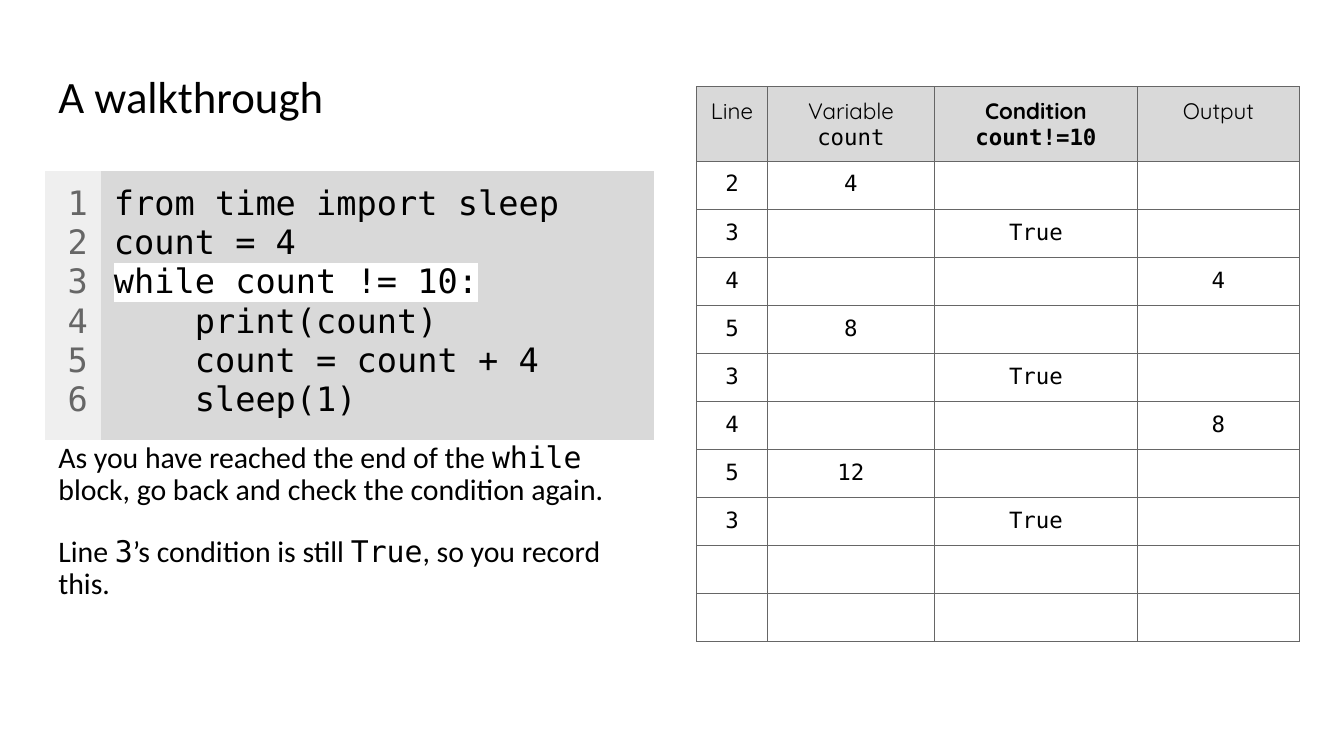
from lxml import etree
from pptx import Presentation
from pptx.dml.color import RGBColor
from pptx.enum.text import MSO_ANCHOR, PP_ALIGN
from pptx.oxml.ns import qn
from pptx.util import Inches, Pt

SANS, MONO, HEADING = "Calibri", "DejaVu Sans Mono", "Quicksand"
BLACK, WHITE, GREY, LINE_GREY, PALE_GREY = "000000", "FFFFFF", "D9D9D9", "666666", "EFEFEF"
PLAIN_TABLE_STYLE = "{2D5ABB26-0587-4C30-8999-92F81FD0307C}"

CODE = [
    "from time import sleep",
    "count = 4",
    "while count != 10:",
    "    print(count)",
    "    count = count + 4",
    "    sleep(1)",
]
CURRENT_LINE = 3

# Each heading: lines of (text, font), and whether it is bold
TRACE_HEADINGS = [
    ([("Line", HEADING)], False),
    ([("Variable", HEADING), ("count", MONO)], False),
    ([("Condition", HEADING), ("count!=10", MONO)], True),
    ([("Output", HEADING)], False),
]
TRACE_ROWS = [
    ("2", "4", "", ""),
    ("3", "", "True", ""),
    ("4", "", "", "4"),
    ("5", "8", "", ""),
    ("3", "", "True", ""),
    ("4", "", "", "8"),
    ("5", "12", "", ""),
    ("3", "", "True", ""),
    ("", "", "", ""),
    ("", "", "", ""),
]

# Each paragraph: runs of (text, font)
EXPLANATION = [
    [
        ("As you have reached the end of the ", SANS),
        ("while", MONO),
        (" block, go back and check the condition again.", SANS),
    ],
    [
        ("Line ", SANS),
        ("3", MONO),
        ("’s condition is still ", SANS),
        ("True", MONO),
        (", so you record this.", SANS),
    ],
]


def rgb(color):
    return RGBColor.from_string(color)


def set_font(font, name, size, color=BLACK, bold=False):
    font.name, font.size, font.bold = name, Pt(size), bold
    font.color.rgb = rgb(color)


def set_margins(holder, margin):
    holder.margin_left = holder.margin_right = Inches(margin)
    holder.margin_top = holder.margin_bottom = Inches(margin)


def add_color_fill(parent, color):
    fill = etree.SubElement(parent, qn("a:solidFill"))
    etree.SubElement(fill, qn("a:srgbClr"), val=color)


def highlight(run, color):
    element = etree.SubElement(run.font._element, qn("a:highlight"))
    etree.SubElement(element, qn("a:srgbClr"), val=color)


def add_borders(cell, color, width):
    properties = cell._tc.get_or_add_tcPr()
    for side in ("a:lnL", "a:lnR", "a:lnT", "a:lnB"):
        add_color_fill(etree.SubElement(properties, qn(side), w=str(Pt(width))), color)


class WalkthroughSlide:
    def __init__(self, presentation):
        self.slide = presentation.slides.add_slide(presentation.slide_layouts[6])
        self.margin = 0.13
        self.line_spacing = 0.9

    def text(self, left, top, width, height, paragraphs, size, gap=0, anchor=MSO_ANCHOR.TOP):
        """Add a text box whose paragraphs are lists of (text, font) runs."""
        box = self.slide.shapes.add_textbox(
            Inches(left), Inches(top), Inches(width), Inches(height))
        frame = box.text_frame
        frame.word_wrap = True
        frame.vertical_anchor = anchor
        set_margins(frame, self.margin)
        for index, runs in enumerate(paragraphs):
            paragraph = frame.add_paragraph() if index else frame.paragraphs[0]
            paragraph.line_spacing = self.line_spacing
            if index:
                paragraph.space_before = Pt(gap)
            for text, font_name in runs:
                run = paragraph.add_run()
                run.text = text
                set_font(run.font, font_name, size)

    def table(self, left, top, widths, heights):
        """Add an unstyled table and return it."""
        frame = self.slide.shapes.add_table(
            len(heights), len(widths), Inches(left), Inches(top),
            Inches(sum(widths)), Inches(sum(heights)))
        table = frame.table
        table.first_row = table.horz_banding = False
        table._tbl.tblPr.find(qn("a:tableStyleId")).text = PLAIN_TABLE_STYLE
        for column, width in zip(table.columns, widths):
            column.width = Inches(width)
        for row, height in zip(table.rows, heights):
            row.height = Inches(height)
        return table

    def cell(self, cell, lines, size, align, margin, color=BLACK, bold=False, fill=None):
        """Fill a cell with one paragraph for each (text, font) line."""
        if fill:
            cell.fill.solid()
            cell.fill.fore_color.rgb = rgb(fill)
        else:
            cell.fill.background()
        set_margins(cell, margin)
        frame = cell.text_frame
        for index, (text, font_name) in enumerate(lines):
            paragraph = frame.add_paragraph() if index else frame.paragraphs[0]
            paragraph.alignment = align
            set_font(paragraph.font, font_name, size, color, bold)
            if text:
                paragraph.add_run().text = text

    def code_listing(self, left, top, widths, height):
        table = self.table(left, top, widths, [height])
        numbers, code = table.cell(0, 0), table.cell(0, 1)
        self.cell(numbers, [(str(n), MONO) for n in range(1, len(CODE) + 1)], 24,
                  PP_ALIGN.RIGHT, self.margin, color=LINE_GREY, fill=PALE_GREY)
        self.cell(code, [(line, MONO) for line in CODE], 24,
                  PP_ALIGN.LEFT, self.margin, fill=GREY)
        highlight(code.text_frame.paragraphs[CURRENT_LINE - 1].runs[0], WHITE)

    def trace_table(self, left, top, widths, height, heading_height):
        row_height = (height - heading_height) / len(TRACE_ROWS)
        table = self.table(left, top, widths,
                           [heading_height] + [row_height] * len(TRACE_ROWS))
        for cell in table.iter_cells():
            add_borders(cell, LINE_GREY, 0.75)
        for column, (lines, bold) in enumerate(TRACE_HEADINGS):
            self.cell(table.cell(0, column), lines, 16, PP_ALIGN.CENTER, 0.1,
                      bold=bold, fill=GREY)
        for row, values in enumerate(TRACE_ROWS, start=1):
            for column, value in enumerate(values):
                self.cell(table.cell(row, column), [(value, MONO)], 16,
                          PP_ALIGN.CENTER, 0.1 if value else 0.05)


def main():
    presentation = Presentation()
    presentation.slide_width, presentation.slide_height = Inches(13.33), Inches(7.5)
    slide = WalkthroughSlide(presentation)
    slide.text(0.45, 0.47, 12.43, 1.02, [[("A walkthrough", SANS)]], 32,
               anchor=MSO_ANCHOR.MIDDLE)
    slide.code_listing(0.45, 1.7, [0.55, 5.49], 2.66)
    slide.text(0.45, 4.26, 5.97, 2.11, EXPLANATION, 21.3, gap=21.3)
    slide.trace_table(6.91, 0.86, [0.7, 1.66, 2.01, 1.61], 5.51, 0.74)
    presentation.save("out.pptx")


if __name__ == "__main__":
    main()
